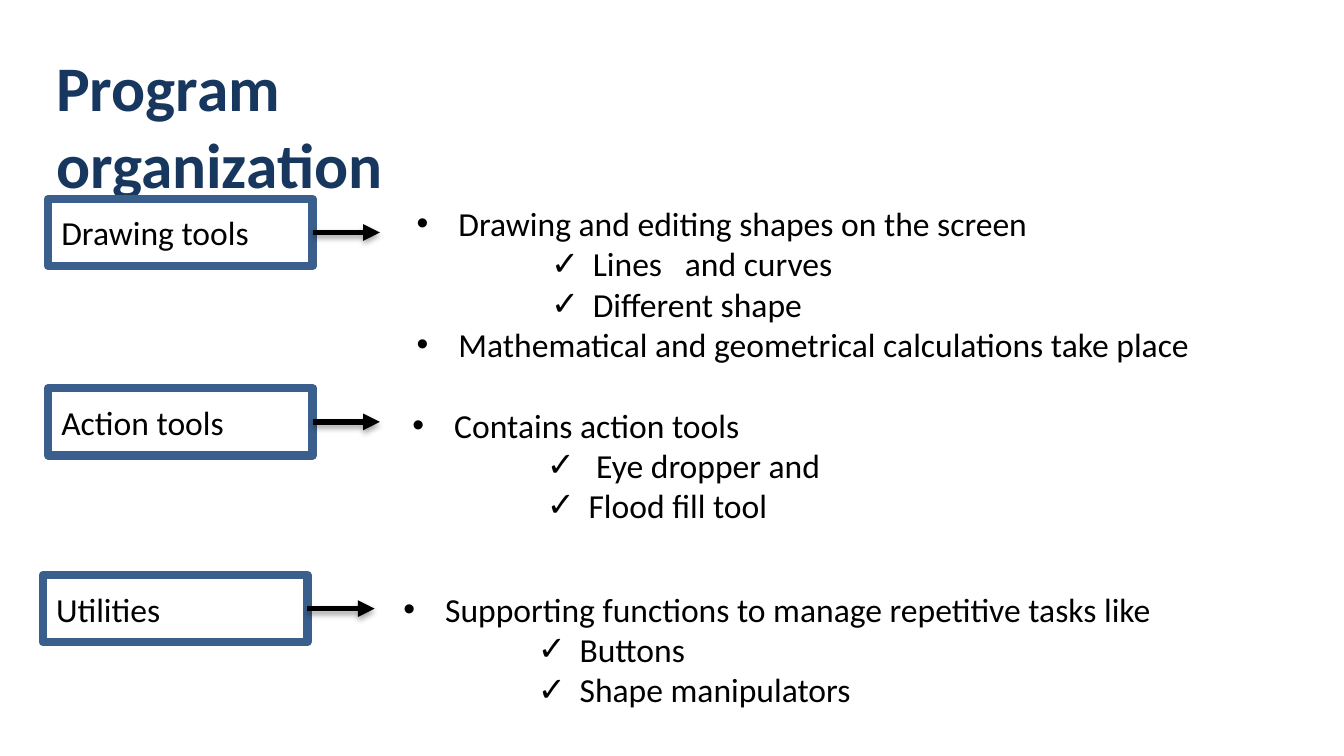
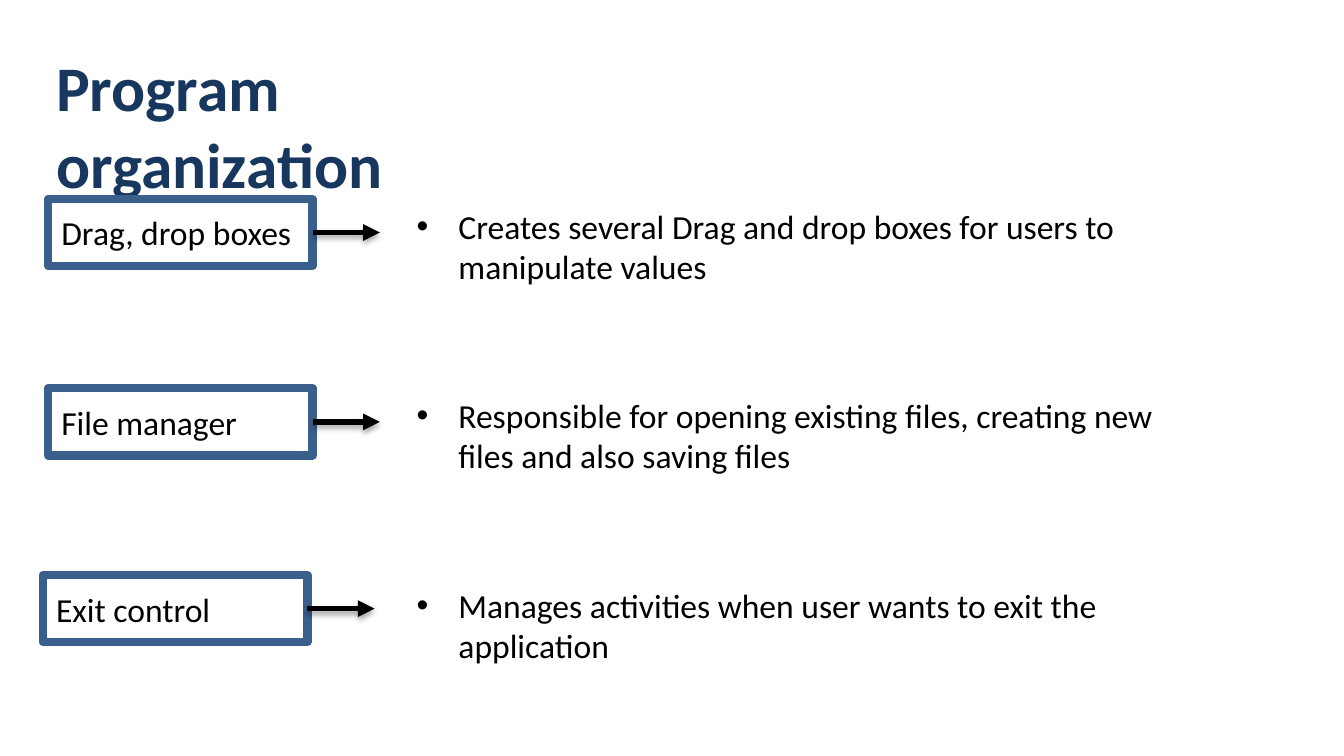
"""Builds two slides on how a drawing program is organized."""
from lxml import etree
from pptx import Presentation
from pptx.dml.color import RGBColor
from pptx.enum.shapes import MSO_CONNECTOR, MSO_SHAPE
from pptx.enum.text import MSO_ANCHOR, MSO_AUTO_SIZE, PP_ALIGN
from pptx.oxml.ns import qn
from pptx.util import Cm, Pt

NAVY = RGBColor(0x17, 0x37, 0x5E)
STEEL = RGBColor(0x3A, 0x5F, 0x8C)
BLACK = RGBColor(0, 0, 0)
FONT = "Calibri"
LEFT = PP_ALIGN.LEFT
TOP, MIDDLE = MSO_ANCHOR.TOP, MSO_ANCHOR.MIDDLE
FIXED, GROW = MSO_AUTO_SIZE.NONE, MSO_AUTO_SIZE.SHAPE_TO_FIT_TEXT
RECTANGLE, STRAIGHT = MSO_SHAPE.RECTANGLE, MSO_CONNECTOR.STRAIGHT

COMPARISON_LAYOUT = 4
LIST_SLOTS = (1, 2, 3)
SPARE_SLOT = 4
BOX_WIDTH, BOX_HEIGHT, ARROW_LENGTH = 5.0, 1.27, 1.27
BOX_CORNERS = ((0.91, 3.76), (0.91, 7.34), (0.81, 10.87))
BULLETS = (("•", 0.79), ("✓", 3.33))
HANGING = 0.79

TITLE = "Program organization"
PAGES = (
    (
        ("Drawing tools", (7.62, 3.71, 16.13, 4.11), (
            (0, "Drawing and editing shapes on the screen"),
            (1, "Lines   and curves"),
            (1, "Different shape"),
            (0, "Mathematical and geometrical calculations take place"))),
        ("Action tools", (7.54, 7.52, 12.75, 2.57), (
            (0, "Contains action tools"),
            (1, " Eye dropper and"),
            (1, "Flood fill tool"))),
        ("Utilities", (7.37, 11.0, 16.13, 2.57), (
            (0, "Supporting functions to manage repetitive tasks like"),
            (1, "Buttons"),
            (1, "Shape manipulators"))),
    ),
    (
        ("Drag, drop boxes", (7.62, 3.76, 15.7, 1.8), (
            (0, "Creates several Drag and drop boxes for users to manipulate values"),)),
        ("File manager", (7.62, 7.34, 14.43, 1.8), (
            (0, "Responsible for opening existing files, creating new files and also saving files"),)),
        ("Exit control", (7.62, 10.92, 14.43, 1.8), (
            (0, "Manages activities when user wants to exit the application"),)),
    ),
)


def write(para, text, size=18, color=BLACK, bold=False):
    para.alignment = LEFT
    para.space_before = Pt(0)
    span = para.add_run()
    span.text = text
    span.font.name = FONT
    span.font.size = Pt(size)
    span.font.bold = bold
    span.font.color.rgb = color


def add_bullet(para, level):
    mark, indent = BULLETS[level]
    para.level = level * 2
    properties = para._p.get_or_add_pPr()
    properties.set("marL", str(Cm(indent)))
    properties.set("indent", str(-Cm(HANGING)))
    etree.SubElement(properties, qn("a:buFont"), typeface="Arial")
    etree.SubElement(properties, qn("a:buChar"), char=mark)


class DiagramDeck:
    def __init__(self):
        self.deck = Presentation()
        self.deck.slide_width = Cm(25.4)
        self.deck.slide_height = Cm(14.29)
        self.page = None

    def add_page(self, title):
        layout = self.deck.slide_layouts[COMPARISON_LAYOUT]
        self.page = self.deck.slides.add_slide(layout)
        spare = self.page.placeholders[SPARE_SLOT].element
        spare.getparent().remove(spare)
        frame = self.place(self.page.shapes.title, (0.81, 0.79, 9.75, 2.13), FIXED)
        write(frame.paragraphs[0], title, size=34, color=NAVY, bold=True)

    def place(self, box, area, sizing):
        box.left, box.top, box.width, box.height = map(Cm, area)
        frame = box.text_frame
        frame.word_wrap = True
        frame.auto_size = sizing
        frame.vertical_anchor = TOP
        return frame

    def add_list(self, slot, area, items):
        frame = self.place(self.page.placeholders[slot], area, GROW)
        for number, (level, text) in enumerate(items):
            para = frame.add_paragraph() if number else frame.paragraphs[0]
            write(para, text)
            add_bullet(para, level)

    def add_box(self, text, left, top):
        box = self.page.shapes.add_shape(
            RECTANGLE, Cm(left), Cm(top), Cm(BOX_WIDTH), Cm(BOX_HEIGHT))
        box.shadow.inherit = False
        box.fill.background()
        box.line.color.rgb = STEEL
        box.line.width = Pt(4.5)
        box.text_frame.word_wrap = True
        box.text_frame.vertical_anchor = MIDDLE
        write(box.text_frame.paragraphs[0], text)

    def add_arrow(self, left, middle):
        arrow = self.page.shapes.add_connector(
            STRAIGHT, Cm(left), Cm(middle), Cm(left + ARROW_LENGTH), Cm(middle))
        arrow.line.color.rgb = BLACK
        arrow.line.width = Pt(3)
        etree.SubElement(arrow.line._get_or_add_ln(), qn("a:tailEnd"), type="triangle")
        effects = etree.SubElement(arrow._element.spPr, qn("a:effectLst"))
        shadow = etree.SubElement(
            effects, qn("a:outerShdw"), blurRad=str(Pt(3.1)), dist=str(Pt(1.8)),
            dir="5400000", rotWithShape="0")
        color = etree.SubElement(shadow, qn("a:srgbClr"), val=str(BLACK))
        etree.SubElement(color, qn("a:alpha"), val="35000")

    def save(self):
        self.deck.save("out.pptx")


def main():
    diagram = DiagramDeck()
    for modules in PAGES:
        diagram.add_page(TITLE)
        for slot, (left, top), (name, area, items) in zip(LIST_SLOTS, BOX_CORNERS, modules):
            diagram.add_box(name, left, top)
            diagram.add_arrow(left + BOX_WIDTH, top + BOX_HEIGHT / 2)
            diagram.add_list(slot, area, items)
    diagram.save()


if __name__ == "__main__":
    main()
